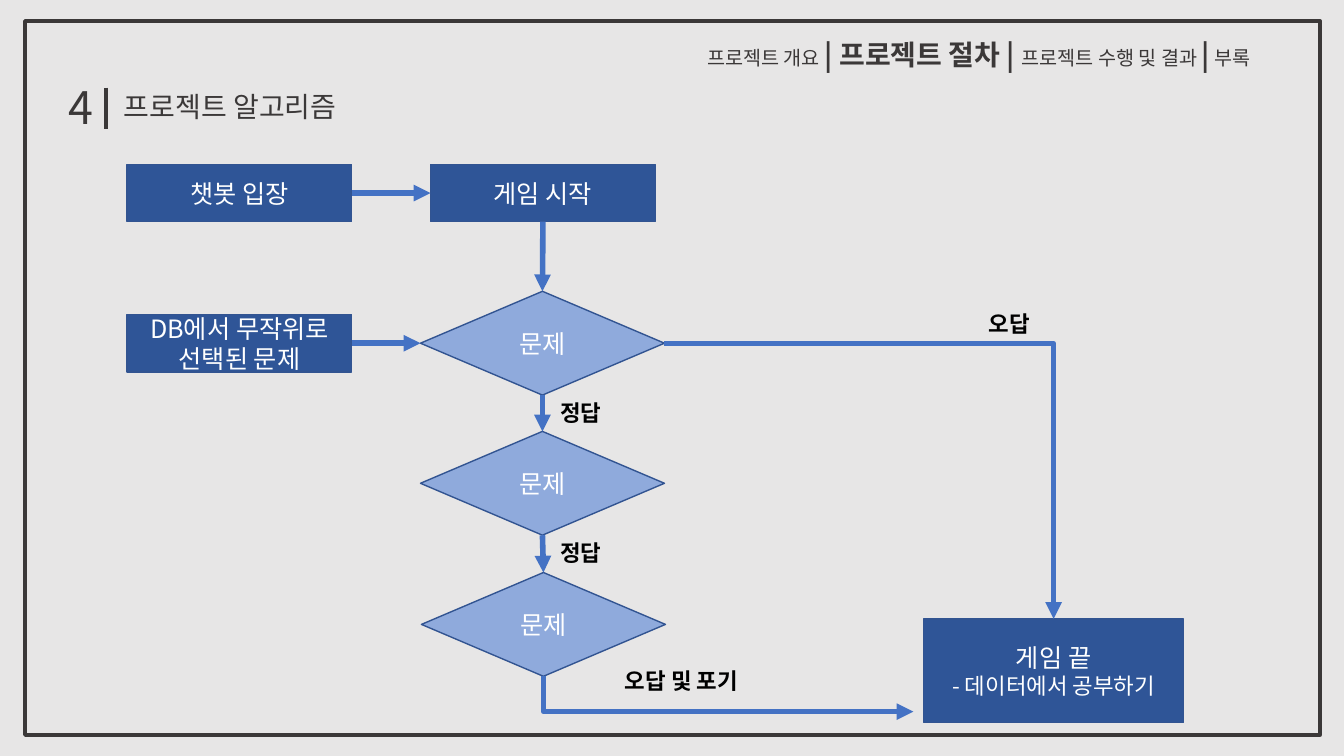
from dataclasses import dataclass

from lxml.etree import SubElement
from pptx import Presentation
from pptx.dml.color import RGBColor
from pptx.enum.shapes import MSO_CONNECTOR as Link, MSO_SHAPE as Preset
from pptx.enum.text import MSO_ANCHOR as Anchor, MSO_AUTO_SIZE as Fit, PP_ALIGN as Align
from pptx.oxml.ns import qn
from pptx.util import Inches, Pt

TOP, LEFT, BOTTOM, RIGHT = range(4)


@dataclass(frozen=True)
class Theme:
    font: str = "Noto Sans CJK KR"
    paper: str = "E7E6E6"
    ink: str = "3B3838"
    box: str = "2F5597"
    decision: str = "8FAADC"
    outline: str = "325491"
    arrow: str = "4472C4"
    white: str = "FFFFFF"
    black: str = "000000"
    number: int = 32
    title: int = 20
    body: int = 18
    label: int = 16
    menu: int = 14


class FlowPage:
    """Draws flowchart elements on one slide in a shared style."""

    def __init__(self, deck, theme):
        self.theme = theme
        self.page = deck.slides.add_slide(deck.slide_layouts[6])
        self.shapes = self.page.shapes
        self.paint(self.page.background.fill, theme.paper)

    def paint(self, fill, color):
        fill.solid()
        fill.fore_color.rgb = RGBColor.from_string(color)

    def stroke(self, line, color, width):
        self.paint(line.fill, color)
        line.width = Pt(width)

    def add_span(self, para, text, size, color, bold=False):
        span = para.add_run()
        span.text = text
        font = span.font
        font.name, font.size, font.bold = self.theme.font, Pt(size), bold
        font.color.rgb = RGBColor.from_string(color)
        east_asian = SubElement(font._element, qn("a:ea"))
        east_asian.set("typeface", self.theme.font)

    def frame(self, *place):
        border = self.shapes.add_shape(Preset.RECTANGLE, *map(Inches, place))
        border.shadow.inherit = False
        border.fill.background()
        self.stroke(border.line, self.theme.ink, 3)

    def node(self, preset, fill, place, *lines):
        box = self.shapes.add_shape(preset, *map(Inches, place))
        box.shadow.inherit = False
        self.paint(box.fill, fill)
        self.stroke(box.line, self.theme.outline, 1)
        frame = box.text_frame
        frame.word_wrap = True
        frame.vertical_anchor = Anchor.MIDDLE
        for index, (text, size) in enumerate(lines):
            para = frame.add_paragraph() if index else frame.paragraphs[0]
            para.alignment = Align.CENTER
            self.add_span(para, text, size, self.theme.white)
        return box

    def process(self, left, top, text):
        place = (left, top, 2.23, 0.57)
        return self.node(Preset.RECTANGLE, self.theme.box, place, (text, self.theme.body))

    def question(self, left, top):
        place = (left, top, 2.42, 1.03)
        return self.node(Preset.FLOWCHART_DECISION, self.theme.decision, place, ("문제", self.theme.body))

    def text(self, place, *spans, align=Align.LEFT):
        box = self.shapes.add_textbox(*map(Inches, place))
        box.text_frame.word_wrap = True
        box.text_frame.auto_size = Fit.SHAPE_TO_FIT_TEXT
        para = box.text_frame.paragraphs[0]
        para.alignment = align
        for span in spans:
            self.add_span(para, *span)

    def label(self, left, top, width, text):
        self.text((left, top, width, 0.37), (text, self.theme.label, self.theme.black, True))

    def line(self, kind, start, end, color, width, arrow=True):
        link = self.shapes.add_connector(kind, *map(Inches, start + end))
        self.stroke(link.line, color, width)
        if arrow:
            SubElement(link.line._get_or_add_ln(), qn("a:tailEnd")).set("type", "triangle")
        SubElement(link._element.spPr, qn("a:effectLst"))
        return link

    def join(self, source, source_side, target, target_side):
        link = self.line(Link.STRAIGHT, (0, 0), (1, 1), self.theme.arrow, 4)
        link.begin_connect(source, source_side)
        link.end_connect(target, target_side)

    def elbow(self, start, end, down_first=False):
        (left, top), (right, bottom) = start, end
        if down_first:
            middle_x, middle_y = (left + right) / 2, (top + bottom) / 2
            half_x, half_y = (bottom - top) / 2, (right - left) / 2
            start = (middle_x - half_x, middle_y - half_y)
            end = (middle_x + half_x, middle_y + half_y)
        link = self.line(Link.ELBOW, start, end, self.theme.arrow, 4)
        properties = link._element.spPr
        properties.find(qn("a:prstGeom")).set("prst", "bentConnector2")
        if down_first:
            turn = properties.find(qn("a:xfrm"))
            turn.set("rot", str(270 * 60000))
            turn.set("flipH", "1")


def main():
    deck = Presentation()
    deck.slide_width, deck.slide_height = Inches(13.33), Inches(7.5)
    theme = Theme()
    page = FlowPage(deck, theme)
    page.frame(0.25, 0.21, 12.84, 7.08)

    entry = page.process(1.26, 1.63, "챗봇 입장")
    start = page.process(4.27, 1.63, "게임 시작")
    source = page.process(1.26, 3.12, "DB에서 무작위로 선택된 문제")
    page.node(
        Preset.RECTANGLE, theme.box, (9.16, 6.14, 2.58, 1.03),
        ("게임 끝", theme.body), ("- 데이터에서 공부하기", theme.label),
    )
    questions = [page.question(*corner) for corner in ((4.17, 2.89), (4.17, 4.28), (4.18, 5.68))]

    page.join(entry, RIGHT, start, LEFT)
    page.join(start, BOTTOM, questions[0], TOP)
    page.join(source, RIGHT, questions[0], LEFT)
    for upper, lower in zip(questions, questions[1:]):
        page.join(upper, BOTTOM, lower, TOP)
    page.elbow((6.59, 3.41), (10.45, 6.14))
    page.elbow((5.39, 6.71), (9.06, 7.06), down_first=True)

    page.label(5.46, 3.91, 0.71, "정답")
    page.label(5.46, 5.3, 0.71, "정답")
    page.label(6.1, 6.57, 1.57, "오답 및 포기")
    page.label(9.71, 3.03, 0.7, "오답")

    page.text(
        (6.5, 0.32, 6.42, 0.44),
        ("프로젝트 개요 ", theme.menu, theme.ink),
        ("| 프로젝트 절차 | ", theme.title, theme.ink, True),
        ("프로젝트 수행 및 결과 ", theme.menu, theme.ink),
        ("|", theme.title, theme.ink, True),
        (" 부록", theme.menu, theme.ink),
        align=Align.CENTER,
    )
    page.text((0.58, 0.74, 0.56, 0.64), ("4", theme.number, theme.ink))
    page.text((1.13, 0.84, 4.76, 0.44), ("프로젝트 알고리즘", theme.title, theme.ink))
    page.line(Link.STRAIGHT, (1.05, 0.87), (1.05, 1.28), theme.ink, 3, arrow=False)
    deck.save("out.pptx")


if __name__ == "__main__":
    main()
